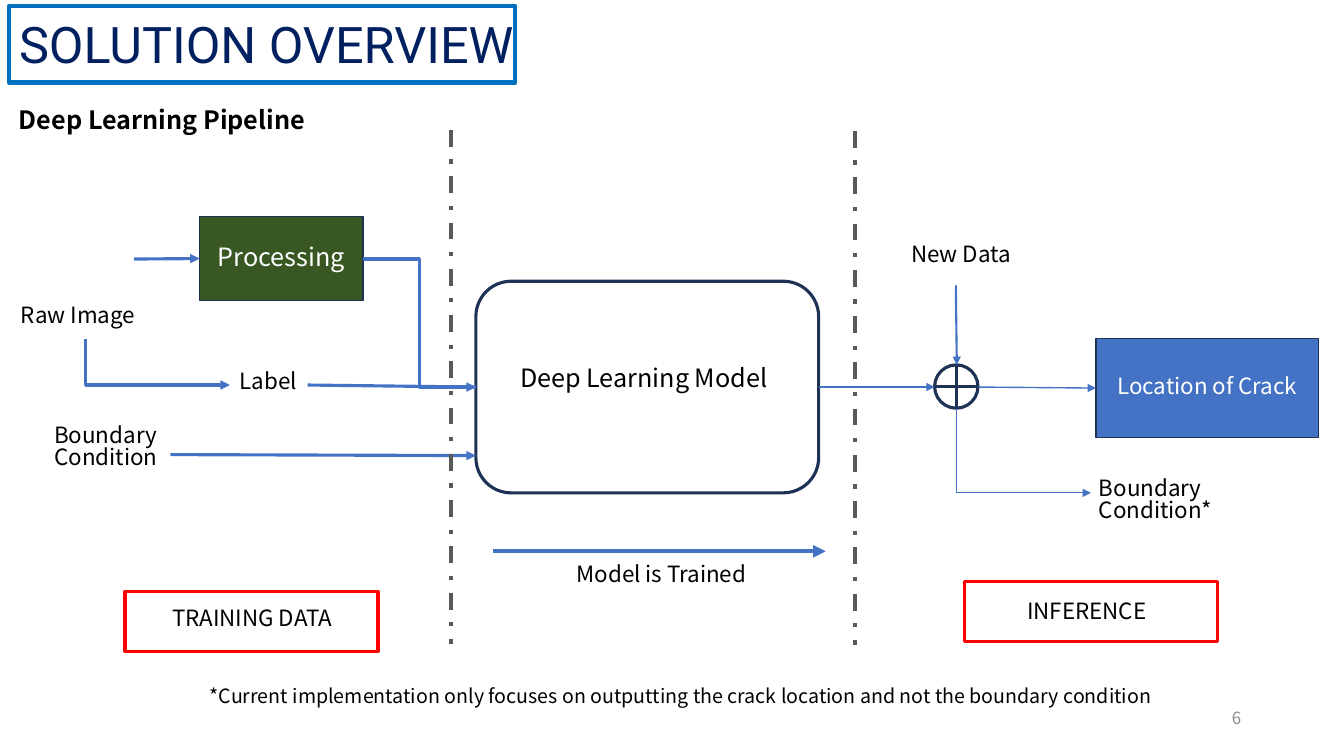
from pptx import Presentation
from pptx.dml.color import RGBColor
from pptx.enum.dml import MSO_LINE
from pptx.enum.shapes import MSO_CONNECTOR, MSO_SHAPE
from pptx.enum.text import MSO_ANCHOR, PP_ALIGN
from pptx.oxml.ns import qn
from pptx.util import Inches, Pt
from lxml.etree import SubElement

NAVY, BLUE, RED, BLACK, WHITE = "1E3256", "4472C4", "FF0000", "000000", "FFFFFF"
SANS = "Noto Sans CJK SC"


def paint(target, color):
    if hasattr(target, "solid"):
        target.solid()
        target.fore_color.rgb = RGBColor.from_string(color)
    else:
        target.rgb = RGBColor.from_string(color)


def write(shape, text, size, color=BLACK, font=SANS, bold=False, align=PP_ALIGN.LEFT):
    frame = shape.text_frame
    frame.word_wrap = True
    para = frame.paragraphs[0]
    para.alignment = align
    if font == SANS:
        para.line_spacing = 0.83
    run = para.add_run()
    run.text = text
    run.font.name = font
    run.font.size = Pt(size)
    run.font.bold = bold
    paint(run.font.color, color)


deck = Presentation()
deck.slide_width, deck.slide_height = Inches(13.33), Inches(7.5)
slide = deck.slides.add_slide(deck.slide_layouts[6])
shapes = slide.shapes

boxes = {}
for name, kind, x, y, w, h, fill, edge, width in [
    ("title", MSO_SHAPE.RECTANGLE, 0.09, 0.06, 5.02, 0.76, None, "0070C0", 3),
    ("model", MSO_SHAPE.ROUNDED_RECTANGLE, 4.72, 2.79, 3.4, 2.1, None, NAVY, 2.25),
    ("process", MSO_SHAPE.RECTANGLE, 1.98, 2.15, 1.62, 0.83, "385723", NAVY, 1),
    ("training", MSO_SHAPE.RECTANGLE, 1.24, 5.87, 2.51, 0.59, None, RED, 2.25),
    ("sum", MSO_SHAPE.FLOWCHART_OR, 9.27, 3.62, 0.43, 0.43, None, NAVY, 2.25),
    ("crack", MSO_SHAPE.RECTANGLE, 10.87, 3.36, 2.21, 0.98, BLUE, NAVY, 1),
    ("infer", MSO_SHAPE.RECTANGLE, 9.57, 5.77, 2.51, 0.59, None, RED, 2.25),
]:
    box = shapes.add_shape(kind, Inches(x), Inches(y), Inches(w), Inches(h))
    box.shadow.inherit = False
    if fill:
        paint(box.fill, fill)
    else:
        box.fill.background()
    paint(box.line.fill, edge)
    box.line.width = Pt(width)
    boxes[name] = box

for name, text, size in [("process", "Processing", 18), ("crack", "Location of Crack", 16)]:
    boxes[name].text_frame.vertical_anchor = MSO_ANCHOR.MIDDLE
    write(boxes[name], text, size, WHITE, align=PP_ALIGN.CENTER)

for kind, x1, y1, x2, y2, color, width, arrow, start, end in [
    ("line", 1.33, 2.57, 1.98, 2.57, BLUE, 2.25, True, None, ("process", 1)),
    ("step", 3.6, 2.57, 4.72, 3.84, BLUE, 2.25, True, None, None),
    ("corner", 0.85, 3.36, 2.28, 3.82, BLUE, 2.25, True, None, None),
    ("line", 3.05, 3.82, 4.72, 3.84, BLUE, 2.25, False, None, ("model", 1)),
    ("line", 1.69, 4.51, 4.72, 4.52, BLUE, 2.25, True, None, None),
    ("line", 4.89, 5.47, 8.19, 5.47, BLUE, 3, True, None, None),
    ("line", 9.48, 2.83, 9.49, 3.62, BLUE, 1.5, True, None, None),
    ("line", 8.12, 3.84, 9.27, 3.84, BLUE, 1, True, ("model", 3), None),
    ("line", 9.7, 3.84, 10.87, 3.84, BLUE, 1, True, None, ("crack", 1)),
    ("corner", 9.49, 4.06, 10.82, 4.89, BLUE, 0.5, True, None, None),
    ("dash", 4.47, 1.29, 4.47, 6.39, "595959", 3, False, None, None),
    ("dash", 8.48, 1.3, 8.48, 6.4, "595959", 3, False, None, None),
]:
    bent = kind in ("step", "corner")
    route = MSO_CONNECTOR.ELBOW if bent else MSO_CONNECTOR.STRAIGHT
    link = shapes.add_connector(route, Inches(x1), Inches(y1), Inches(x2), Inches(y2))
    paint(link.line.fill, color)
    link.line.width = Pt(width)
    if kind == "dash":
        link.line.dash_style = MSO_LINE.DASH_DOT
    if kind == "corner":
        wide, high = x2 - x1, y2 - y1
        link.left, link.top = Inches((x1 + x2 - high) / 2), Inches((y1 + y2 - wide) / 2)
        link.width, link.height = Inches(high), Inches(wide)
        props = link.element.spPr
        props.find(qn("a:prstGeom")).set("prst", "bentConnector2")
        frame = props.find(qn("a:xfrm"))
        frame.set("rot", "16200000")
        frame.set("flipH", "1")
    if arrow:
        SubElement(link.line.fill._xPr, qn("a:tailEnd"), type="triangle")
    SubElement(link.element.spPr, qn("a:effectLst"))
    if start:
        link.begin_connect(boxes[start[0]], start[1])
    if end:
        link.end_connect(boxes[end[0]], end[1])

for text, x, y, w, h, size in [
    ("SOLUTION OVERVIEW", 0.09, 0.08, 5.95, 0.71, 36),
    ("Deep Learning Pipeline", 0.09, 1.04, 3.04, 0.4, 18),
    ("Deep Learning Model", 5.06, 3.6, 2.71, 0.4, 18),
    ("Raw Image", 0.11, 2.98, 1.46, 0.37, 16),
    ("Label", 2.28, 3.64, 0.77, 0.37, 16),
    ("Boundary Condition", 0.44, 4.17, 1.24, 0.64, 16),
    ("TRAINING DATA", 1.61, 5.99, 1.99, 0.37, 16),
    ("New Data", 8.94, 2.38, 1.46, 0.37, 16),
    ("Model is Trained", 5.62, 5.55, 3.51, 0.37, 16),
    ("INFERENCE", 10.09, 5.92, 1.99, 0.37, 16),
    ("Boundary Condition*", 10.8, 4.7, 2.36, 0.64, 16),
    ("*Current implementation only focuses on outputting the crack location"
     " and not the boundary condition", 1.98, 6.78, 11.01, 0.34, 14),
    ("6", 9.41, 6.94, 3, 0.4, 12),
]:
    label = shapes.add_textbox(Inches(x), Inches(y), Inches(w), Inches(h))
    if size == 36:
        write(label, text, size, "002060", "Roboto")
    elif size == 12:
        label.text_frame.vertical_anchor = MSO_ANCHOR.MIDDLE
        write(label, text, size, "8C8C8C", align=PP_ALIGN.RIGHT)
    else:
        write(label, text, size, bold=text.endswith("Pipeline"))

deck.save("out.pptx")
